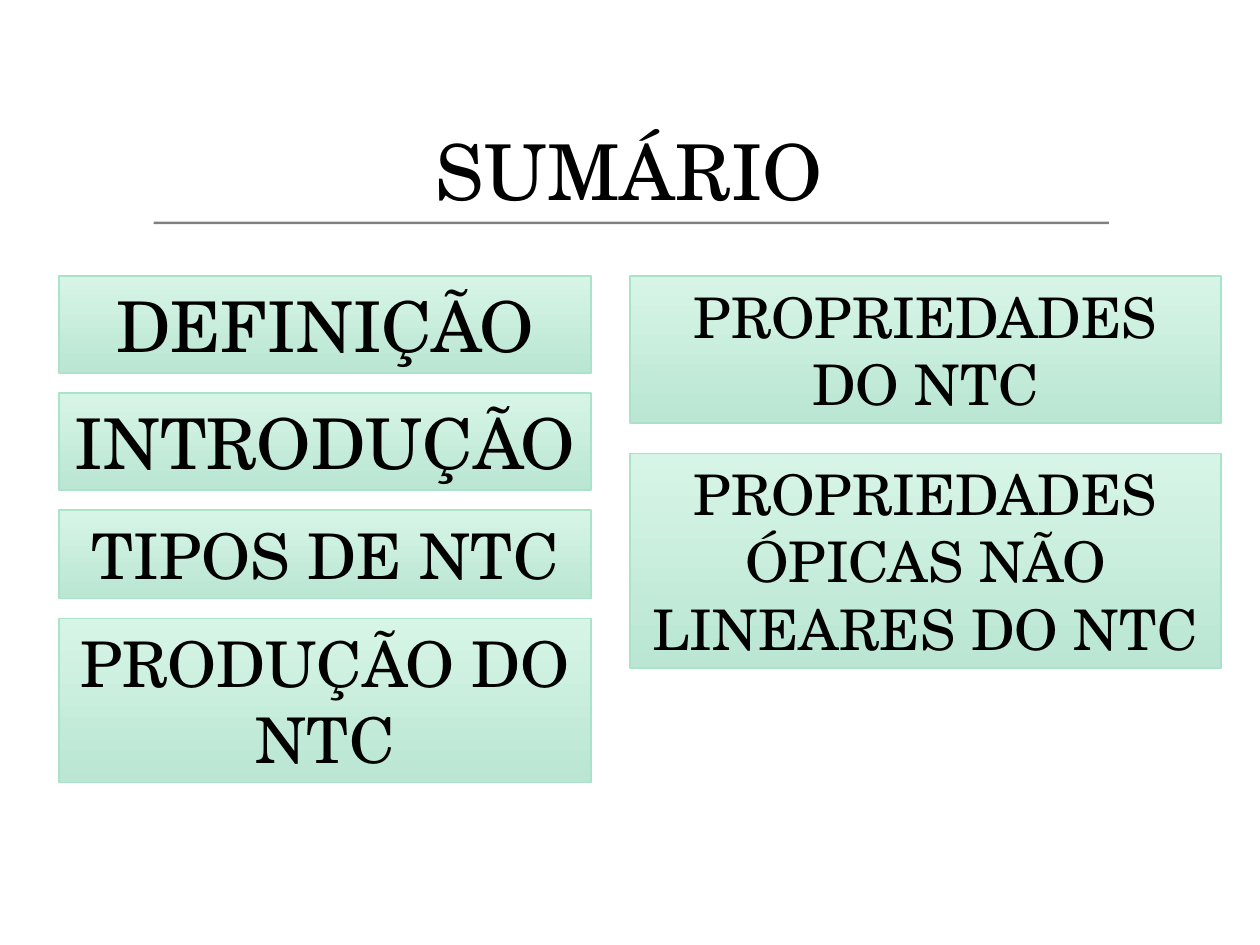
from pptx import Presentation
from pptx.dml.color import RGBColor
from pptx.enum.shapes import MSO_SHAPE
from pptx.enum.text import MSO_ANCHOR, MSO_AUTO_SIZE, PP_ALIGN
from pptx.util import Inches, Pt

FONT = "TeX Gyre Schola"
LEFT_TOPICS = [
    ("DEFINIÇÃO", 0.77, 40),
    ("INTRODUÇÃO", 0.77, 40),
    ("TIPOS DE NTC", 0.7, 36),
    ("PRODUÇÃO DO NTC", 1.3, 36),
]
RIGHT_TOPICS = [
    ("PROPRIEDADES DO NTC", 1.17, 32),
    ("PROPRIEDADES ÓPICAS NÃO LINEARES DO NTC", 1.7, 32),
]


def colour(value):
    return RGBColor.from_string(value)


def write(frame, words, size, anchor):
    frame.text = words
    frame.word_wrap = True
    frame.vertical_anchor = anchor
    line = frame.paragraphs[0]
    line.alignment = PP_ALIGN.CENTER
    font = line.runs[0].font
    font.name = FONT
    font.size = Pt(size)
    font.color.rgb = colour("000000")


def add_heading(slide, left, top, width, height):
    heading = slide.shapes.title
    heading.left, heading.top = Inches(left), Inches(top)
    heading.width, heading.height = Inches(width), Inches(height)
    write(heading.text_frame, "SUMÁRIO", 44, MSO_ANCHOR.MIDDLE)


def add_rule(slide, left, top, width, height):
    rule = slide.shapes.add_shape(
        MSO_SHAPE.RECTANGLE, Inches(left), Inches(top), Inches(width), Inches(height))
    rule.shadow.inherit = False
    rule.fill.solid()
    rule.fill.fore_color.rgb = colour("808080")
    rule.line.fill.background()


def add_topic(slide, words, size, left, top, width, height):
    topic = slide.shapes.add_shape(
        MSO_SHAPE.RECTANGLE, Inches(left), Inches(top), Inches(width), Inches(height))
    topic.shadow.inherit = False
    topic.fill.gradient()
    topic.fill.gradient_angle = 270
    for stop, shade in zip(topic.fill.gradient_stops, ("D7F5E7", "BAE6D3")):
        stop.color.rgb = colour(shade)
    topic.line.color.rgb = colour("AAE2CA")
    topic.line.width = Pt(0.94)
    write(topic.text_frame, words, size, MSO_ANCHOR.TOP)
    topic.text_frame.auto_size = MSO_AUTO_SIZE.SHAPE_TO_FIT_TEXT


def add_topic_column(slide, topics, left, top, width, gap):
    for words, height, size in topics:
        add_topic(slide, words, size, left, top, width, height)
        top += height + gap


def main():
    deck = Presentation()
    deck.slide_width, deck.slide_height = Inches(10), Inches(7.5)
    summary = deck.slides.add_slide(deck.slide_layouts[5])
    add_rule(summary, 1.22, 1.76, 7.58, 0.02)
    add_heading(summary, 0, 0.7, 9.99, 1.3)
    add_topic_column(summary, LEFT_TOPICS, 0.47, 2.19, 4.22, 0.16)
    add_topic_column(summary, RIGHT_TOPICS, 5, 2.19, 4.69, 0.24)
    deck.save("out.pptx")


if __name__ == "__main__":
    main()
